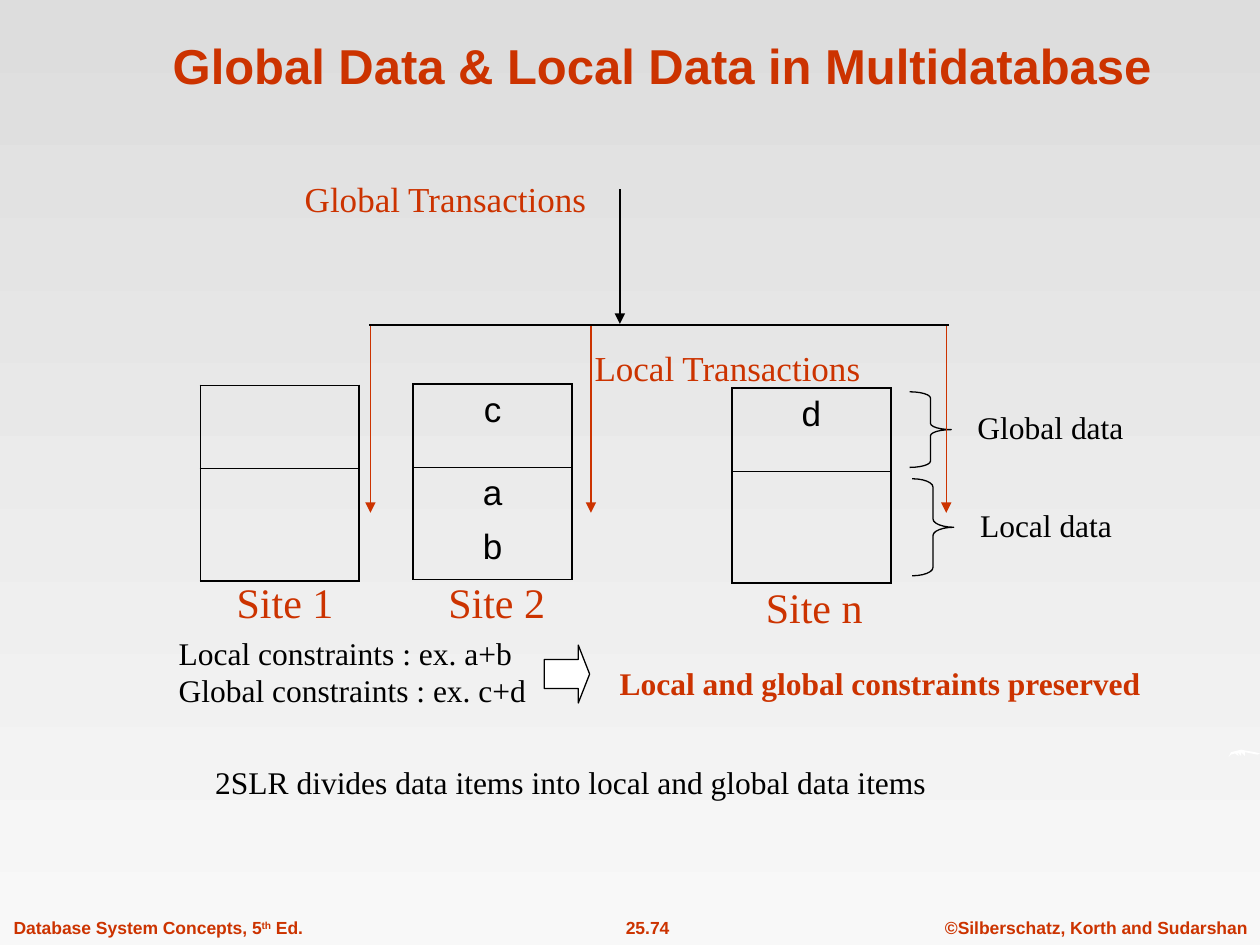
from lxml import etree
from pptx import Presentation
from pptx.dml.color import RGBColor
from pptx.enum.shapes import MSO_CONNECTOR, MSO_SHAPE
from pptx.enum.text import MSO_ANCHOR, MSO_AUTO_SIZE, PP_ALIGN
from pptx.oxml.ns import qn
from pptx.util import Inches, Pt

RED = RGBColor(0xCC, 0x33, 0x00)
BLACK = RGBColor(0, 0, 0)
WHITE = RGBColor(0xFF, 0xFF, 0xFF)
TOP = RGBColor(0xDD, 0xDD, 0xDD)
BASE = RGBColor(0xF8, 0xF8, 0xF8)

LINE = MSO_CONNECTOR.STRAIGHT
BRACE = MSO_SHAPE.RIGHT_BRACE
ARROW = MSO_SHAPE.RIGHT_ARROW
LEFT = PP_ALIGN.LEFT
MID = PP_ALIGN.CENTER
BOTTOM = MSO_ANCHOR.BOTTOM
GROW = MSO_AUTO_SIZE.SHAPE_TO_FIT_TEXT

SERIF = "Times New Roman"
SANS = "Arial"
HEAD = {"name": SANS, "size": Pt(28), "bold": True}
FOOT = {"name": SANS, "size": Pt(10), "bold": True}
ITEM = {"name": SANS, "size": Pt(20)}
NOTE = {"name": SERIF, "size": Pt(18)}
FLOW = {"name": SERIF, "size": Pt(20)}
SITE = {"name": SERIF, "size": Pt(24)}
STRONG = {**NOTE, "bold": True}

SITES = [  # left, top, global items, local items
    (1.59, 3.06, [], []),
    (3.28, 3.05, ["c"], ["a", "b"]),
    (5.81, 3.08, ["d"], []),
]
LABELS = [  # text, box, format, colour
    ("Site 1", (1.78, 4.53, 0.97, 0.5), SITE, RED),
    ("Site 2", (3.46, 4.53, 0.97, 0.5), SITE, RED),
    ("Site n", (5.98, 4.57, 0.97, 0.5), SITE, RED),
    ("Global data", (7.66, 3.19, 1.36, 0.4), NOTE, BLACK),
    ("Local data", (7.68, 3.97, 1.25, 0.4), NOTE, BLACK),
    ("Global Transactions", (2.32, 1.36, 2.45, 0.44), FLOW, RED),
    ("Local Transactions", (4.62, 2.7, 2.32, 0.44), FLOW, RED),
    ("2SLR divides data items into local and global data items",
     (1.61, 6.01, 5.88, 0.4), NOTE, BLACK),
    ("Local constraints : ex. a+b\nGlobal constraints : ex. c+d",
     (1.32, 4.98, 2.96, 0.7), NOTE, BLACK),
    ("Local and global constraints preserved",
     (4.82, 5.22, 4.34, 0.4), STRONG, RED),
]
CURVE = [(9.75, 6.01), (9.77, 5.97), (9.81, 5.96), (9.85, 5.95), (9.9, 5.96),
         (9.96, 5.97), (10, 5.98), (9.98, 5.99), (9.93, 5.98), (9.88, 5.97),
         (9.88, 6), (9.85, 5.97), (9.85, 6), (9.82, 5.97), (9.83, 6),
         (9.8, 5.98), (9.77, 5.99)]


def style(font, form, color):
    for key, value in form.items():
        setattr(font, key, value)
    font.color.rgb = color


def place(box):
    return [Inches(n) for n in box]


def add_title(slide, text):
    title = slide.shapes.title
    title.left, title.top, title.width, title.height = place(
        (0.84, 0.13, 8.83, 0.67))
    frame = title.text_frame
    frame.text = text
    frame.vertical_anchor = BOTTOM
    para = frame.paragraphs[0]
    para.alignment = MID
    style(para.font, HEAD, RED)


def add_label(slide, text, box, form, color, align=LEFT):
    frame = slide.shapes.add_textbox(*place(box)).text_frame
    frame.word_wrap = False
    frame.auto_size = GROW
    frame.text = text
    for para in frame.paragraphs:
        para.alignment = align
        style(para.font, form, color)
    return frame


def add_footer(slide):
    edge = add_label(slide, "Database System Concepts, 5",
                     (0.01, 7.23, 2.54, 0.27), FOOT, RED)
    para = edge.paragraphs[0]
    mark = para.add_run()
    mark.text = "th"
    mark.font._element.set("baseline", "30000")
    para.add_run().text = " Ed."
    add_label(slide, "25.74", (4.61, 7.23, 1.06, 0.27), FOOT, RED, MID)
    add_label(slide, "©Silberschatz, Korth and Sudarshan",
              (7.4, 7.23, 2.6, 0.27), FOOT, RED, MID)


def add_line(slide, start, end, color, tip=True):
    line = slide.shapes.add_connector(LINE, *place(start + end))
    line.line.color.rgb = color
    line.line.width = Pt(0.75)
    if tip:
        etree.SubElement(line.line._get_or_add_ln(), qn("a:tailEnd"),
                         type="triangle")
    etree.SubElement(line._element.spPr, qn("a:effectLst"))


def add_shape(slide, kind, box, adjust, fill=None):
    shape = slide.shapes.add_shape(kind, *place(box))
    shape.shadow.inherit = False
    for i, value in enumerate(adjust):
        shape.adjustments[i] = value
    if fill is None:
        shape.fill.background()
    else:
        shape.fill.solid()
        shape.fill.fore_color.rgb = fill
    shape.line.color.rgb = BLACK
    shape.line.width = Pt(0.75)


def add_curve(slide):
    first, *rest = [place(point) for point in CURVE]
    pen = slide.shapes.build_freeform(*first)
    pen.add_line_segments(rest)
    shape = pen.convert_to_shape()
    shape.shadow.inherit = False
    shape.fill.solid()
    shape.fill.fore_color.rgb = WHITE
    shape.line.fill.background()


def set_border(cell, widths):
    """Draw the left, right, top and bottom edges, widths in points."""
    props = cell._tc.get_or_add_tcPr()
    for side, width in zip("LRTB", widths):
        edge = etree.SubElement(props, qn("a:ln" + side), w=str(Pt(width)))
        fill = etree.SubElement(edge, qn("a:solidFill"))
        etree.SubElement(fill, qn("a:srgbClr"), val=str(BLACK))


def add_site(slide, left, top, shared, local):
    """Draw a site: global items above, local items below."""
    box = place((left, top, 1.26, 1.55))
    table = slide.shapes.add_table(2, 1, *box).table
    table.first_row = table.horz_banding = False
    outer, inner = 1.08, 0.45
    rows = [(0.66, shared, (outer, outer, outer, inner)),
            (0.89, local, (outer, outer, inner, outer))]
    for i, (height, items, widths) in enumerate(rows):
        table.rows[i].height = Inches(height)
        cell = table.cell(i, 0)
        set_border(cell, widths)
        cell.fill.background()
        if not items:
            continue
        cell.text = "\n".join(items)
        for j, para in enumerate(cell.text_frame.paragraphs):
            para.alignment = MID
            para.space_before = Pt(8.8 if j else 0)
            style(para.font, ITEM, BLACK)


def set_back(slide):
    fill = slide.background.fill
    fill.gradient()
    fill.gradient_angle = 270
    for stop, color in zip(fill.gradient_stops, (TOP, BASE)):
        stop.color.rgb = color


def main():
    deck = Presentation()
    deck.slide_width, deck.slide_height = Inches(10), Inches(7.5)
    slide = deck.slides.add_slide(deck.slide_layouts[5])
    set_back(slide)
    add_footer(slide)
    add_curve(slide)
    add_title(slide, "Global Data & Local Data in Multidatabase")
    for site in SITES:
        add_site(slide, *site)
    add_shape(slide, BRACE, (7.22, 3.11, 0.33, 0.6), (0.15, 0.5))
    add_shape(slide, BRACE, (7.24, 3.8, 0.33, 0.77), (0.2, 0.5))
    for label in LABELS:
        add_label(slide, *label)
    for x in (2.94, 4.69, 7.51):
        add_line(slide, (x, 2.58), (x, 4.07), RED)
    add_line(slide, (4.92, 1.5), (4.92, 2.57), BLACK)
    add_line(slide, (2.93, 2.58), (7.53, 2.58), BLACK, tip=False)
    add_shape(slide, ARROW, (4.32, 5.12, 0.36, 0.46), (0.5, 0.25), WHITE)
    deck.save("out.pptx")


if __name__ == "__main__":
    main()
